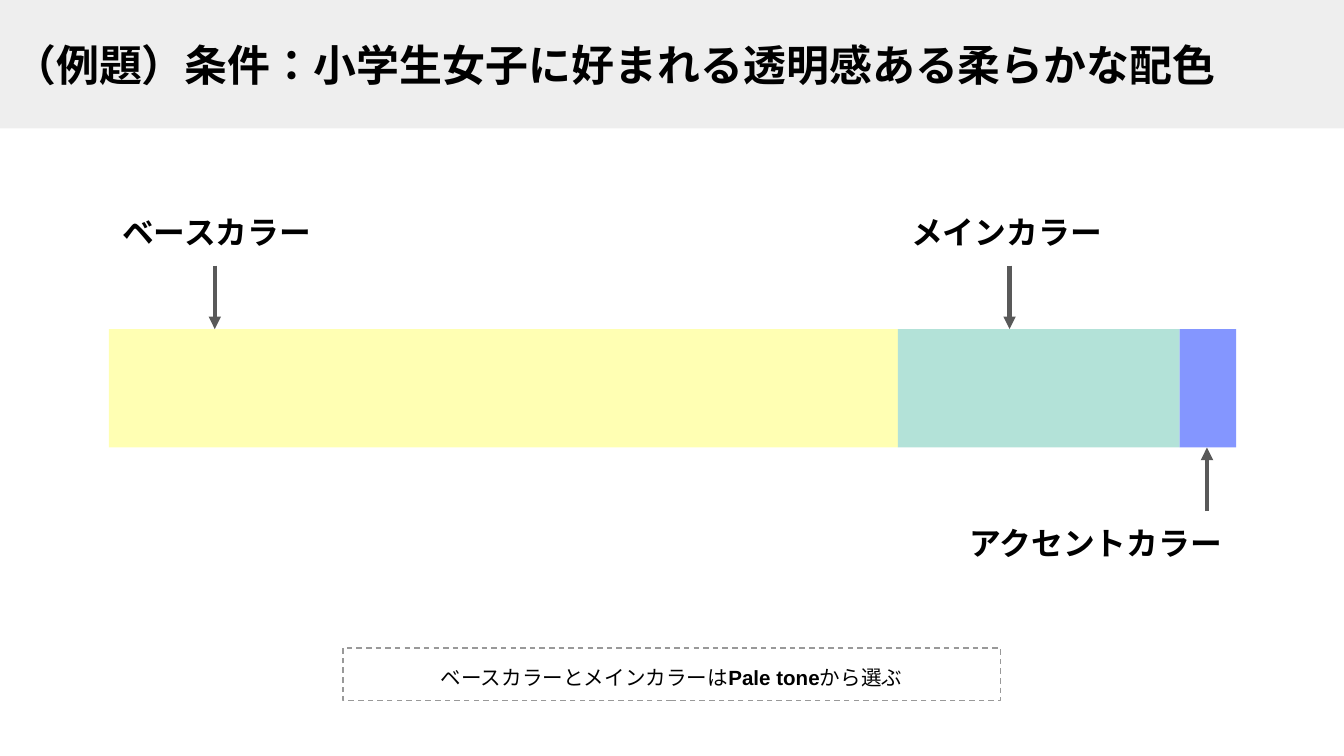
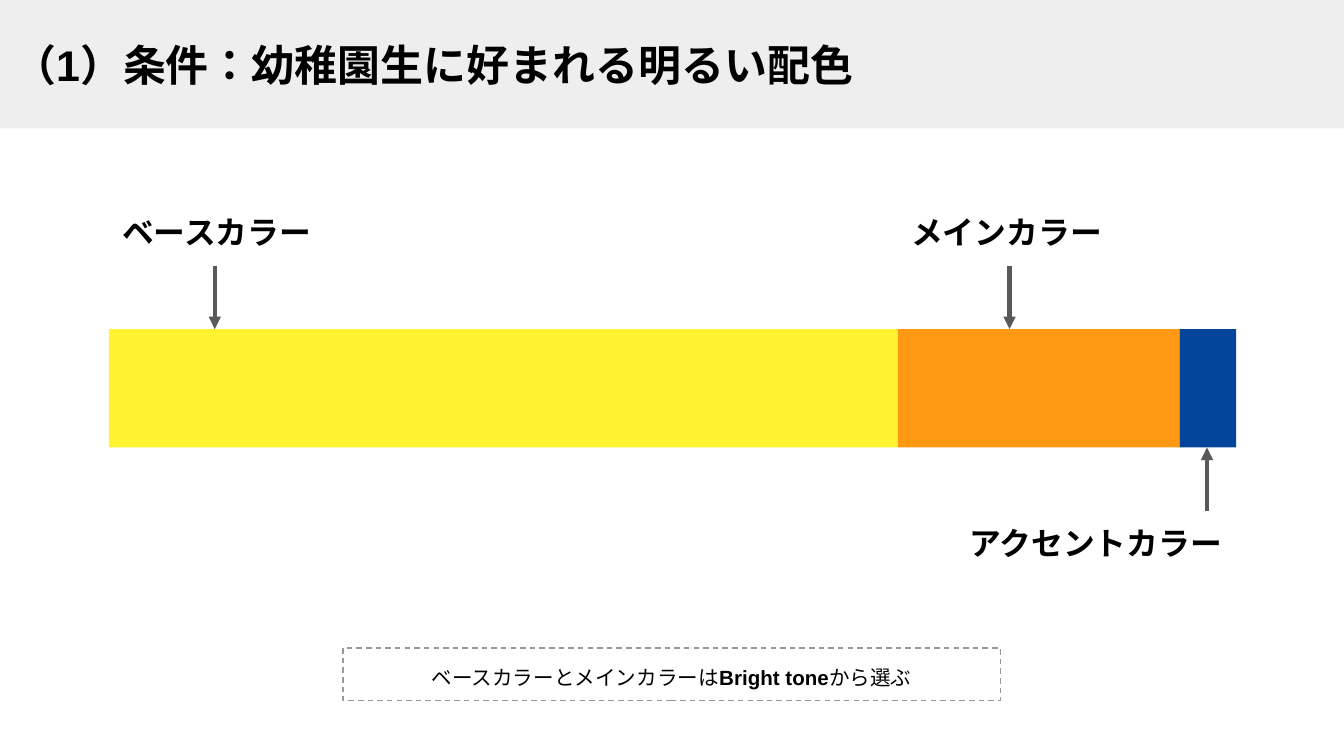
import pptx
import pptx.dml.color
import pptx.enum.dml
import pptx.enum.lang
import pptx.enum.shapes
import pptx.enum.text
import pptx.oxml
import pptx.oxml.ns
import pptx.util

Cm, Pt = pptx.util.Cm, pptx.util.Pt
ALIGN = pptx.enum.text.PP_ALIGN
ANCHOR = pptx.enum.text.MSO_ANCHOR
FIT = pptx.enum.text.MSO_AUTO_SIZE

# Content
SCHEMES = [
    {"title": "（例題）条件：小学生女子に好まれる透明感ある柔らかな配色",
     "tone": "Pale tone", "palette": ["FFFFB3", "B3E2D8", "8496FF"]},
    {"title": "（1）条件：幼稚園生に好まれる明るい配色",
     "tone": "Bright tone", "palette": ["FFF231", "FF9914", "03459B"]},
]
NOTE = ("ベースカラーとメインカラーは", "から選ぶ")
SHARES = [0.70, 0.25, 0.05]
# name, label left, label width, alignment, arrow x, label is above the bar
ROLES = [
    ("ベースカラー", 2.06, 4.24, ALIGN.LEFT, 4.06, True),
    ("メインカラー", 16.97, 4.24, ALIGN.LEFT, 19.08, True),
    ("アクセントカラー", 17.86, 5.49, ALIGN.RIGHT, 22.81, False),
]

# Look, lengths in centimetres
COLORS = {"band": "EEEEEE", "text": "000000", "arrow": "595959", "note": "999999"}
FONT = "Arial"
SLIDE_W, SLIDE_H = 25.4, 14.29
BAND_H = 2.43
BAR_LEFT, BAR_TOP, BAR_W, BAR_H = 2.06, 6.22, 21.3, 2.24
LABEL_H, ARROW_H = 1.24, 1.2
NOTE_BOX = (6.48, 12.25, 12.43, 0.99)

TITLE_STYLE = {"size": Pt(23), "bold": True}
LABEL_STYLE = {"size": Pt(17), "bold": True}
NOTE_STYLE = {"size": Pt(11), "bold": False}
FONT_BASE = {"name": FONT, "language_id": pptx.enum.lang.MSO_LANGUAGE_ID.JAPANESE}
INSETS = dict.fromkeys(
    ["margin_left", "margin_top", "margin_right", "margin_bottom"], Cm(0.25))


def apply(target, values):
    """Set each attribute of target from a dict."""
    for name, value in values.items():
        setattr(target, name, value)


def rgb(hex_string):
    """Turn a hex string into a colour."""
    return pptx.dml.color.RGBColor.from_string(hex_string)


def add_child(parent, tag, attributes=""):
    """Append an empty DrawingML element."""
    namespace = pptx.oxml.ns.nsdecls("a")
    parent.append(pptx.oxml.parse_xml(f"<a:{tag} {namespace} {attributes}/>"))


def add_block(slide, box, fill=None):
    """Add a borderless rectangle, filled or clear."""
    block = slide.shapes.add_shape(
        pptx.enum.shapes.MSO_SHAPE.RECTANGLE, *map(Cm, box))
    block.shadow.inherit = False
    block.line.fill.background()
    if fill:
        block.fill.solid()
        block.fill.fore_color.rgb = rgb(fill)
    else:
        block.fill.background()
    return block


def write(shape, runs, frame, paragraph):
    """Fill a shape with one paragraph of (text, style) runs."""
    apply(shape.text_frame, {"word_wrap": True, **INSETS, **frame})
    line = shape.text_frame.paragraphs[0]
    apply(line, paragraph)
    for text, style in runs:
        run = line.add_run()
        run.text = text
        run.font.color.rgb = rgb(COLORS["text"])
        apply(run.font, {**FONT_BASE, **style})
        add_child(run.font._element, "ea", f'typeface="{FONT}"')


def add_arrow(slide, x, start, end):
    """Add a vertical arrow from start to end."""
    arrow = slide.shapes.add_connector(
        pptx.enum.shapes.MSO_CONNECTOR.STRAIGHT, *map(Cm, (x, start, x, end)))
    arrow.line.color.rgb = rgb(COLORS["arrow"])
    arrow.line.width = Pt(2.25)
    add_child(arrow.line._get_or_add_ln(), "tailEnd", 'type="triangle"')
    add_child(arrow._element.spPr, "effectLst")


def add_bar(slide, palette):
    """Draw the colour bar, split by share."""
    left = BAR_LEFT
    for share, color in zip(SHARES, palette):
        add_block(slide, (left, BAR_TOP, BAR_W * share, BAR_H), color)
        left += BAR_W * share


def add_roles(slide):
    """Name each part of the bar and point at it."""
    bar_bottom = BAR_TOP + BAR_H
    for name, left, width, align, arrow_x, above in ROLES:
        if above:
            label_top = BAR_TOP - ARROW_H - LABEL_H
            start, end = BAR_TOP - ARROW_H, BAR_TOP
        else:
            label_top = bar_bottom + ARROW_H
            start, end = bar_bottom + ARROW_H, bar_bottom
        label = slide.shapes.add_textbox(
            *map(Cm, (left, label_top, width, LABEL_H)))
        write(label, [(name, LABEL_STYLE)],
              {"auto_size": FIT.SHAPE_TO_FIT_TEXT}, {"alignment": align})
        add_arrow(slide, arrow_x, start, end)


def add_title(slide, title):
    """Add the title band."""
    band = add_block(slide, (0, 0, SLIDE_W, BAND_H), COLORS["band"])
    write(band, [(title, TITLE_STYLE)],
          {"vertical_anchor": ANCHOR.MIDDLE}, {"alignment": ALIGN.LEFT})


def add_note(slide, tone):
    """Add the dashed note that names the tone."""
    note = add_block(slide, NOTE_BOX)
    note.line.color.rgb = rgb(COLORS["note"])
    apply(note.line, {"width": Pt(0.75),
                      "dash_style": pptx.enum.dml.MSO_LINE.DASH})
    before, after = NOTE
    write(note,
          [(before, NOTE_STYLE), (tone, {**NOTE_STYLE, "bold": True}),
           (after, NOTE_STYLE)],
          {"vertical_anchor": ANCHOR.TOP, "auto_size": FIT.SHAPE_TO_FIT_TEXT},
          {"alignment": ALIGN.CENTER, "line_spacing": 1.15})


deck = pptx.Presentation()
apply(deck, {"slide_width": Cm(SLIDE_W), "slide_height": Cm(SLIDE_H)})
for scheme in SCHEMES:
    slide = deck.slides.add_slide(deck.slide_layouts[6])
    add_bar(slide, scheme["palette"])
    add_roles(slide)
    add_title(slide, scheme["title"])
    add_note(slide, scheme["tone"])
deck.save("out.pptx")
